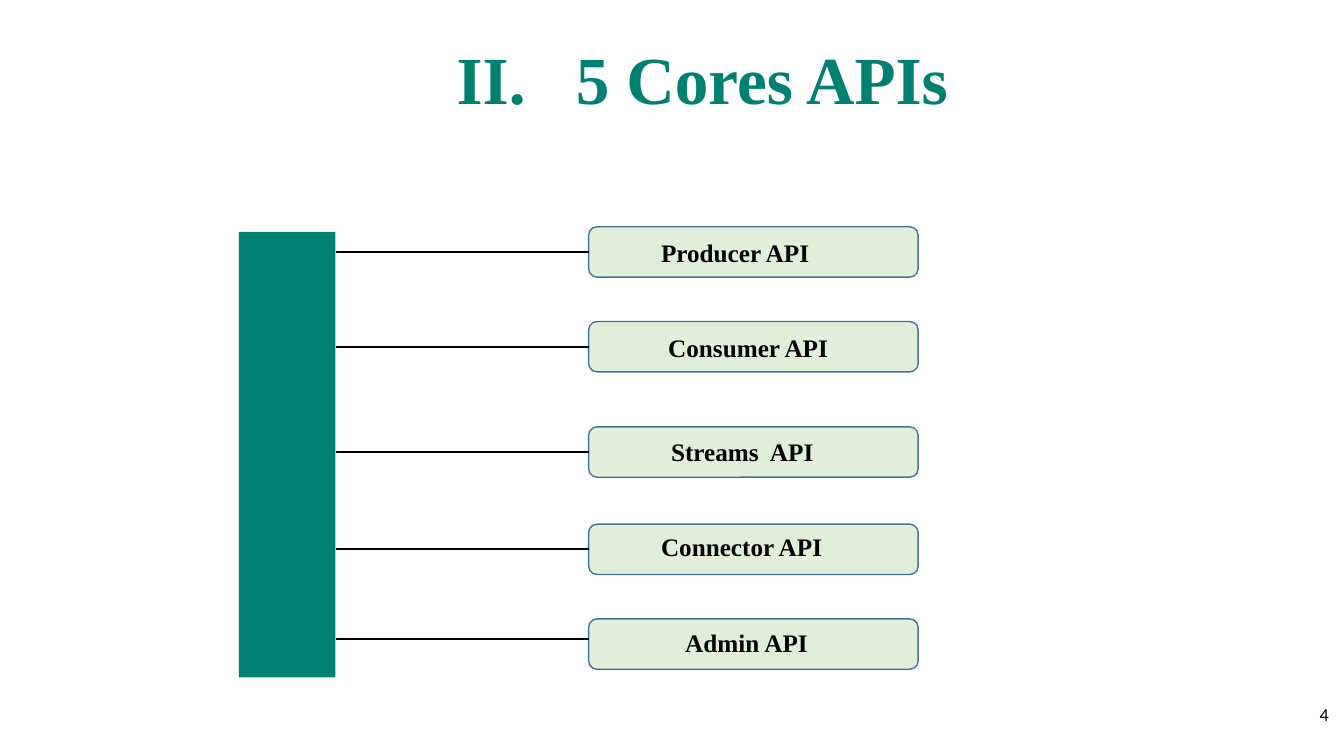
from lxml.etree import SubElement
from pptx import Presentation
from pptx.dml.color import RGBColor
from pptx.enum.shapes import MSO_CONNECTOR, MSO_SHAPE
from pptx.enum.text import PP_ALIGN
from pptx.oxml.ns import qn
from pptx.util import Pt

SERIF = "Times New Roman"
GREEN, PALE, BLUE, BLACK = "008071", "E1EFD8", "42719B", "000000"
ROWS = [
    ("Producer API", 162, 44.6, 3.6, 18),
    ("Consumer API", 229.7, 49.7, 4.3, 18),
    ("Streams  API", 304.9, 51.8, 3.4, 18),
    ("Connector API", 374.4, 44.6, 1.4, 18),
    ("Admin API", 442.1, 61.9, 2.2, 14.4),
]


def color(code):
    """Turn a hex string into a colour."""
    return RGBColor.from_string(code)


def block(slide, kind, box, fill, edge=None):
    """Draw a filled shape in the box, outlined if an edge colour is given."""
    shape = slide.shapes.add_shape(kind, *map(Pt, box))
    shape.shadow.inherit = False
    shape.fill.solid()
    shape.fill.fore_color.rgb = color(fill)
    if edge:
        shape.line.color.rgb = color(edge)
        shape.line.width = Pt(1)
    else:
        shape.line.fill.background()
    return shape


def label(slide, box, text, size, font=SERIF, ink=BLACK, bold=True, align=PP_ALIGN.LEFT):
    """Write one line of text in the box."""
    frame = slide.shapes.add_textbox(*map(Pt, box)).text_frame
    frame.word_wrap = True
    para = frame.paragraphs[0]
    para.alignment = align
    run = para.add_run()
    run.text = text
    run.font.name = font
    run.font.size = Pt(size)
    run.font.bold = bold
    run.font.color.rgb = color(ink)
    return para


def link(slide, start, end, y, target=None):
    """Draw a level line, joined to the left side of the target if given."""
    line = slide.shapes.add_connector(MSO_CONNECTOR.STRAIGHT, Pt(start), Pt(y), Pt(end), Pt(y))
    line.line.color.rgb = color(BLACK)
    line.line.width = Pt(1.5)
    SubElement(line._element.spPr, qn("a:effectLst"))
    if target is not None:
        line.end_connect(target, 1)


def title(slide, box):
    """Write the heading in the box."""
    label(slide, box, "II.   5 Cores APIs", 48, ink=GREEN).line_spacing = 0.9


def tree(slide, left, top, width, height):
    """Draw the trunk and the API boxes that branch from it."""
    trunk, card, tall = 69.1, 235.4, 36
    block(slide, MSO_SHAPE.RECTANGLE, (left, top, trunk, height), GREEN)
    edge = left + width - card
    for name, y, inset, drop, rise in ROWS:
        shape = block(slide, MSO_SHAPE.ROUNDED_RECTANGLE, (edge, y, card, tall), PALE, BLUE)
        shape.adjustments[0] = 0.167
        link(slide, left + trunk, edge, y + rise, shape if rise == tall / 2 else None)
        label(slide, (edge + inset, y + drop, 183, 29), name, 18)


def number(slide, box):
    """Write the page number in the box."""
    label(slide, box, "4", 13, "Calibri", bold=False, align=PP_ALIGN.RIGHT)


def main():
    """Build the slide and save it."""
    deck = Presentation()
    deck.slide_width, deck.slide_height = Pt(960), Pt(540)
    slide = deck.slides.add_slide(deck.slide_layouts[6])
    tree(slide, 170.6, 165.6, 485.3, 318.2)
    title(slide, (319, 29.5, 475, 83))
    number(slide, (898.6, 499, 57.6, 41))
    deck.save("out.pptx")


if __name__ == "__main__":
    main()
